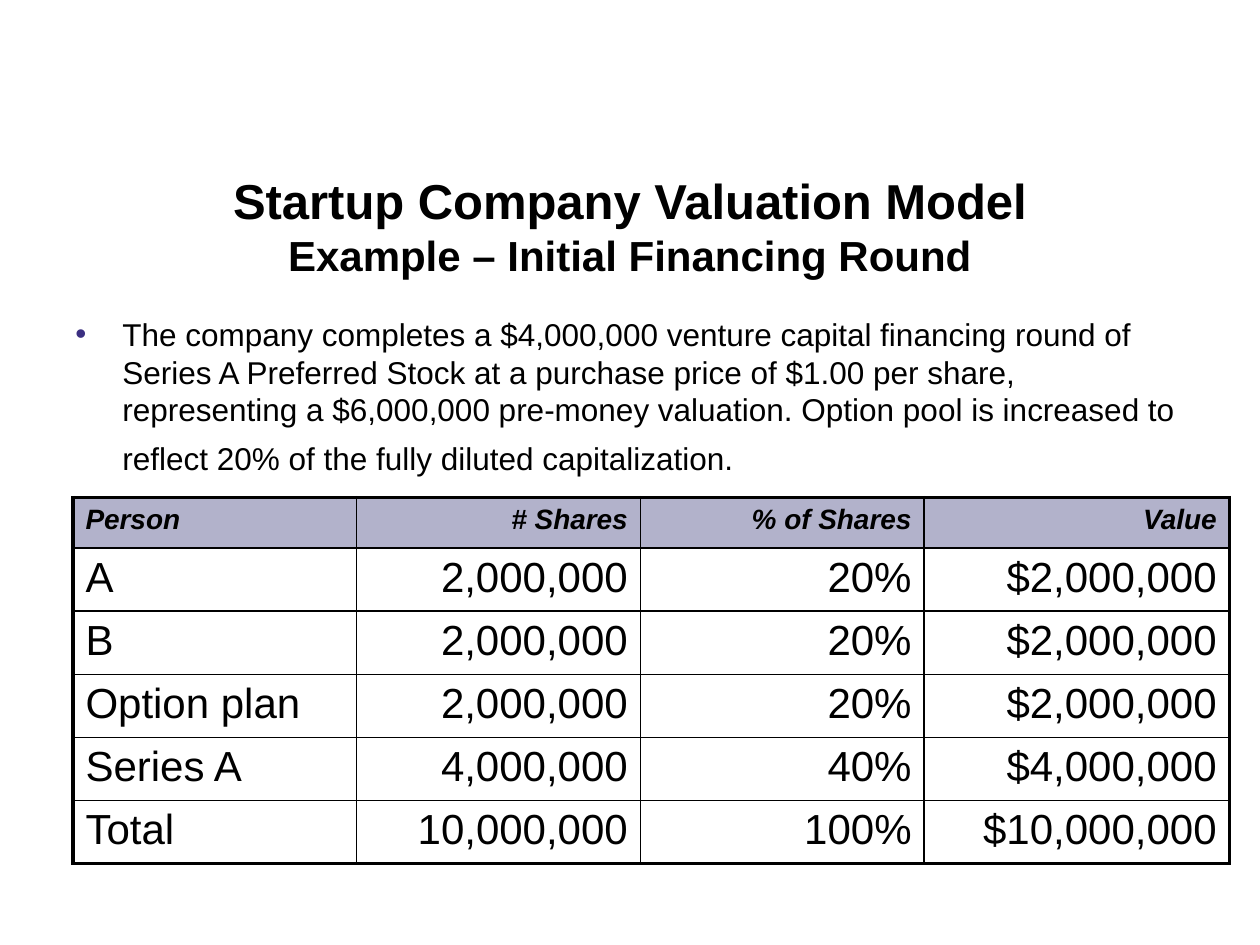
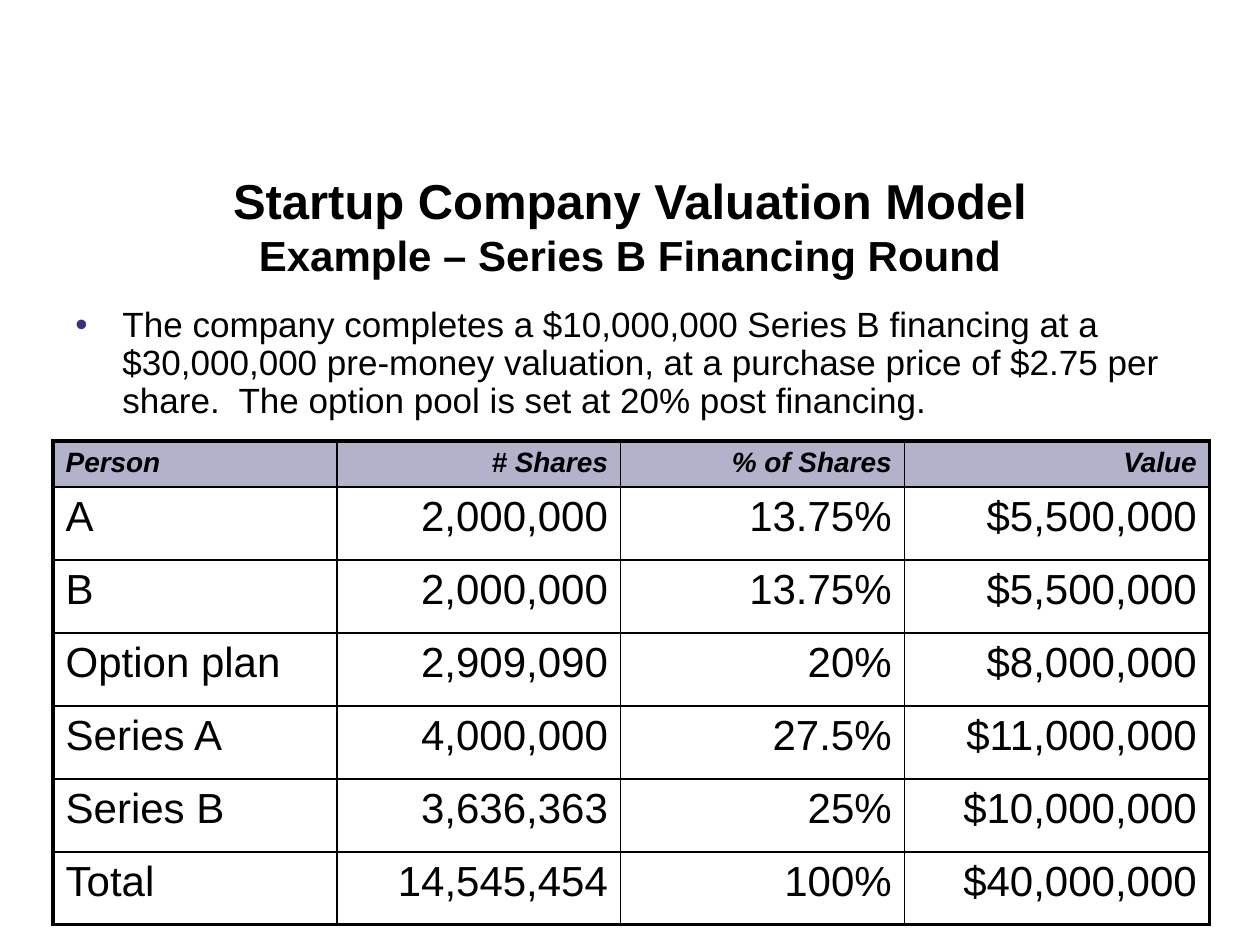
from lxml.etree import SubElement
from pptx import Presentation
from pptx.dml.color import RGBColor
from pptx.enum.text import MSO_ANCHOR, PP_ALIGN
from pptx.oxml import parse_xml
from pptx.oxml.ns import nsdecls, qn
from pptx.util import Cm, Pt

# Shared look
INK = {"text": "000000", "head": "666699", "dot": "3B2F81"}
FONT = "Arial"
THIN, THICK = Pt(1), Pt(2.25)
TITLE = {"size": Pt(28), "bold": True}
SUB = {"size": Pt(24), "bold": True}
HEAD = {"size": Pt(16), "bold": True, "italic": True}
CELL = {"size": Pt(24), "bold": False, "italic": False}
COLS = (5.72, 5.72, 5.72, 6.15)
LABELS = ("Person", "# Shares", "% of Shares", "Value")

# What differs from slide to slide
ROUNDS = [
    {
        "sub": "Example – Initial Financing Round",
        "body": "The company completes a $4,000,000 venture capital financing "
                "round of Series A Preferred Stock at a purchase price of $1.00 "
                "per share, representing a $6,000,000 pre-money valuation. Option "
                "pool is increased to reflect 20% of the fully diluted "
                "capitalization.",
        "box": (1.27, 6.22, 22.86, 5.46),
        "size": 18, "space": None, "tail": 24,
        "grid": (1.47, 10.03), "high": (1.02, 1.02),
        "rows": [
            ("A", "2,000,000", "20%", "$2,000,000"),
            ("B", "2,000,000", "20%", "$2,000,000"),
            ("Option plan", "2,000,000", "20%", "$2,000,000"),
            ("Series A", "4,000,000", "40%", "$4,000,000"),
            ("Total", "10,000,000", "100%", "$10,000,000"),
        ],
    },
    {
        "sub": "Example – Series B Financing Round",
        "body": "The company completes a $10,000,000 Series B financing at a "
                "$30,000,000 pre-money valuation, at a purchase price of $2.75 "
                "per share.  The option pool is set at 20% post financing.",
        "box": (1.27, 6.07, 22.86, 3.96),
        "size": 20, "space": 0.9, "tail": None,
        "grid": (1.07, 8.89), "high": (0.81, 1.47),
        "rows": [
            ("A", "2,000,000", "13.75%", "$5,500,000"),
            ("B", "2,000,000", "13.75%", "$5,500,000"),
            ("Option plan", "2,909,090", "20%", "$8,000,000"),
            ("Series A", "4,000,000", "27.5%", "$11,000,000"),
            ("Series B", "3,636,363", "25%", "$10,000,000"),
            ("Total", "14,545,454", "100%", "$40,000,000"),
        ],
    },
]


def add_run(para, text, form):
    run = para.add_run()
    run.text = text
    run.font.name = FONT
    run.font.color.rgb = RGBColor.from_string(INK["text"])
    for key, val in form.items():
        setattr(run.font, key, val)


def add_box(slide, box):
    frame = slide.shapes.add_textbox(*map(Cm, box)).text_frame
    frame.word_wrap = True
    return frame


def add_title(slide, sub):
    frame = add_box(slide, (1.27, 3.81, 22.86, 1.47))
    frame.vertical_anchor = MSO_ANCHOR.MIDDLE
    para = frame.paragraphs[0]
    para.alignment = PP_ALIGN.CENTER
    add_run(para, "Startup Company Valuation Model", TITLE)
    para.add_line_break()
    add_run(para, sub, SUB)


def add_dot(para):
    """Give the paragraph a hanging bullet."""
    props = para._p.get_or_add_pPr()
    props.set("marL", str(Cm(0.95)))
    props.set("indent", str(-Cm(0.95)))
    tint = SubElement(props, qn("a:buClr"))
    SubElement(tint, qn("a:srgbClr"), val=INK["dot"])
    SubElement(props, qn("a:buFont"), typeface=FONT)
    SubElement(props, qn("a:buChar"), char="•")


def add_body(slide, data):
    para = add_box(slide, data["box"]).paragraphs[0]
    add_dot(para)
    para.line_spacing = data["space"]
    add_run(para, data["body"], {"size": Pt(data["size"])})
    if data["tail"]:  # a larger closing space opens up the last line
        add_run(para, " ", {"size": Pt(data["tail"])})


def add_edges(cell, sides):
    """Draw the cell borders: side letter -> width."""
    props = cell._tc.get_or_add_tcPr()
    for spot, (side, width) in enumerate(sides.items()):
        props.insert(spot, parse_xml(
            f'<a:ln{side} {nsdecls("a")} w="{width}"><a:solidFill>'
            f'<a:srgbClr val="{INK["text"]}"/></a:solidFill></a:ln{side}>'))


def fill_head(cell):
    cell.fill.solid()
    cell.fill.fore_color.rgb = RGBColor.from_string(INK["head"])
    tint = cell._tc.tcPr.find(".//" + qn("a:srgbClr"))
    SubElement(tint, qn("a:alpha"), val="50000")


def add_grid(slide, data):
    rows = [LABELS, *data["rows"]]
    first, rest = data["high"]
    highs = [first] + [rest] * len(data["rows"])
    left, top = data["grid"]
    table = slide.shapes.add_table(
        len(rows), len(COLS), Cm(left), Cm(top),
        Cm(sum(COLS)), Cm(sum(highs))).table
    table.first_row = table.horz_banding = False
    for col, wide in zip(table.columns, COLS):
        col.width = Cm(wide)
    for r, (row, high) in enumerate(zip(rows, highs)):
        table.rows[r].height = Cm(high)
        for c, text in enumerate(row):
            cell = table.cell(r, c)
            para = cell.text_frame.paragraphs[0]
            para.alignment = PP_ALIGN.RIGHT if c else PP_ALIGN.LEFT
            add_run(para, text, CELL if r else HEAD)
            if r:
                cell.fill.background()
            else:
                fill_head(cell)
            # Thick frame outside, thin lines inside
            add_edges(cell, {
                "L": THIN if c else THICK,
                "R": THICK if c == len(COLS) - 1 else THIN,
                "T": THIN if r else THICK,
                "B": THICK if r == len(rows) - 1 else THIN,
            })


def main():
    deck = Presentation()
    deck.slide_width, deck.slide_height = Cm(25.4), Cm(19.05)
    for data in ROUNDS:
        slide = deck.slides.add_slide(deck.slide_layouts[6])
        add_title(slide, data["sub"])
        add_body(slide, data)
        add_grid(slide, data)
    deck.save("out.pptx")


main()
